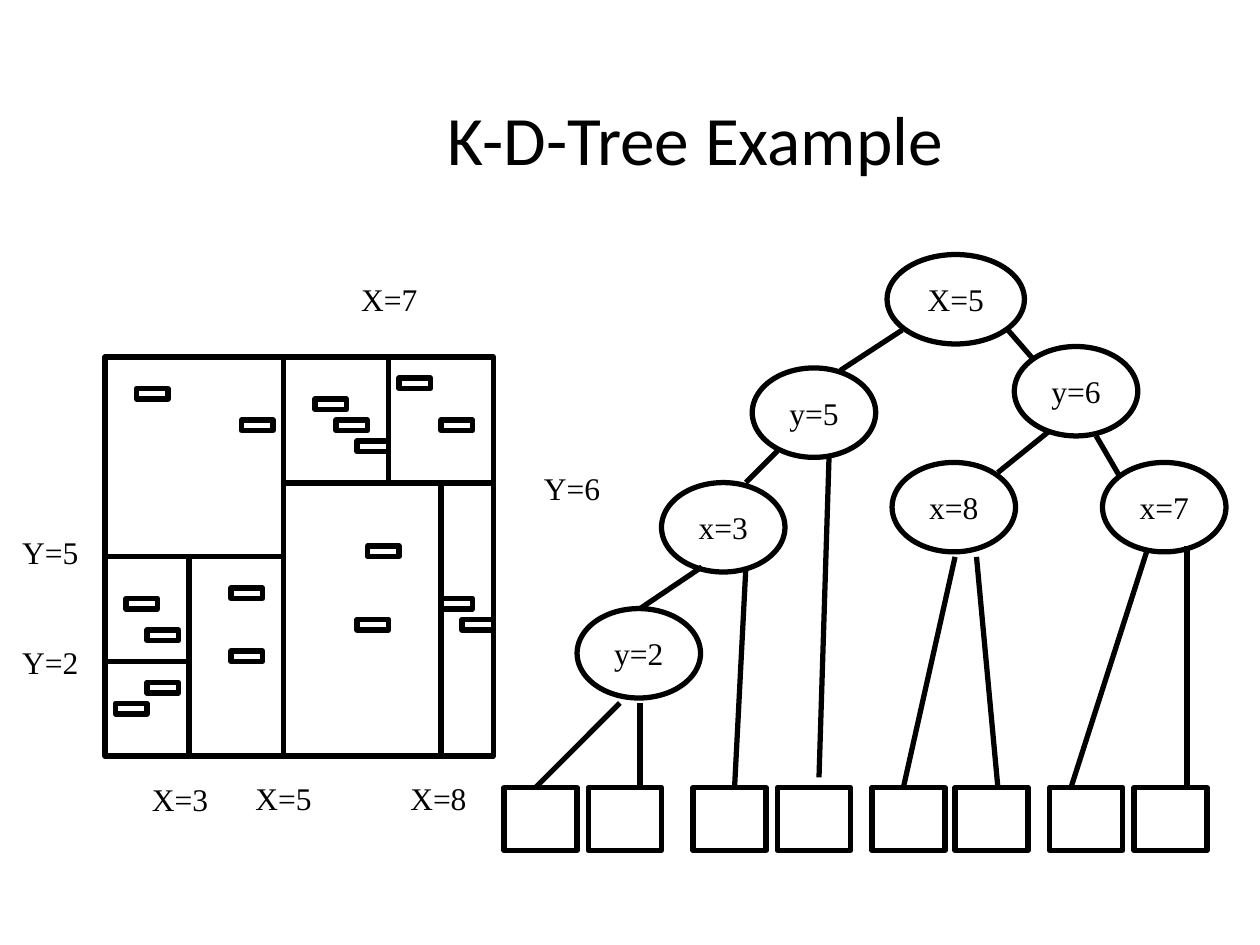
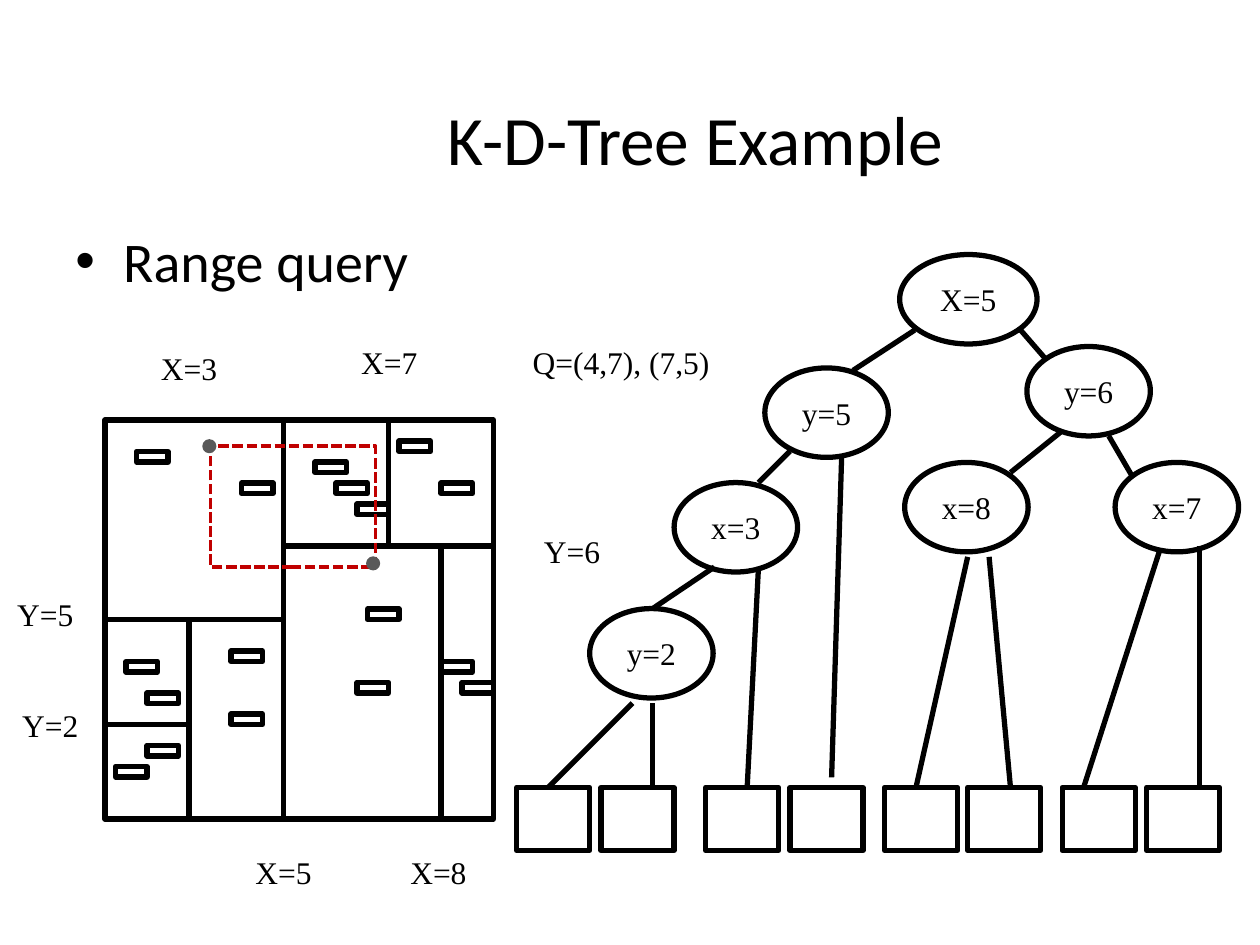
from dataclasses import dataclass

from lxml import etree
from pptx import Presentation
from pptx.dml.color import RGBColor as RGB
from pptx.enum.dml import MSO_LINE
from pptx.enum.shapes import MSO_CONNECTOR, MSO_SHAPE as SHAPE
from pptx.enum.text import MSO_ANCHOR as ANCHOR, PP_ALIGN as ALIGN
from pptx.oxml.ns import qn
from pptx.util import Inches, Pt


@dataclass(frozen=True)
class Theme:
    ink: RGB = RGB(0, 0, 0)
    query: RGB = RGB(0xC0, 0, 0)
    corner: RGB = RGB(0x59, 0x59, 0x59)
    heading_font: str = "Calibri"
    label_font: str = "Times New Roman"
    title_size: float = 39.6
    body_size: float = 32
    label_size: float = 18
    stroke: float = 3
    query_stroke: float = 2


THEME = Theme()

# The plane is measured in twelfths of an inch from its top left corner.
UNIT = 1 / 12
PLANE_LEFT, PLANE_W, PLANE_H = 10 * UNIT, 37, 38
SPLITS = [
    (17, 0, 17, 38), (0, 19, 17, 19), (8, 19, 8, 38), (17, 12, 37, 12),
    (27, 0, 27, 12), (32, 12, 32, 38), (0, 29, 8, 29),
]
RECORDS = [
    (12, 22), (1, 33), (4, 26), (2, 23), (3, 3), (4, 31), (13, 6), (12, 28),
    (25, 18), (24, 25), (20, 4), (22, 6), (24, 8), (32, 23), (34, 25),
    (28, 2), (32, 6),
]
# Centre of each label, in inches; y counts from the top of the plane.
PLANE_LABELS = [("X=7", 3.09, -0.46), ("Y=6", 4.54, 1.04), ("Y=2", 0.4, 2.42)]

NODE_W, NODE_H = 0.98, 0.71
NODES = [
    ("y=5", 5.97, 2.92), ("y=6", 8.05, 2.75), ("x=3", 5.25, 3.83),
    ("y=2", 4.58, 4.83), ("x=8", 7.08, 3.67), ("x=7", 8.75, 3.67),
]
LEAF_TOP, LEAF_W, LEAF_H = 6.25, 0.58, 0.5
LEAVES = [4, 4.67, 5.5, 6.17, 6.92, 7.58, 8.33, 9]
BRANCHES = [
    (7.16, 2.62, 6.67, 2.94), (8, 2.62, 8.2, 2.85), (8.33, 3.42, 7.92, 3.75),
    (8.7, 3.46, 8.88, 3.77), (6.17, 3.58, 5.92, 3.83), (5.57, 4.5, 5.08, 4.83),
    (4.92, 5.58, 4.25, LEAF_TOP), (5.08, 5.58, 5.08, LEAF_TOP),
    (5.92, 4.5, 5.83, LEAF_TOP), (6.58, 3.62, 6.5, 6.17),
    (7.58, 4.42, 7.17, LEAF_TOP), (7.75, 4.42, 7.92, LEAF_TOP),
    (9.1, 4.38, 8.5, LEAF_TOP), (9.42, 4.33, 9.42, LEAF_TOP),
]


def write(sp, text, size=THEME.label_size, font=THEME.label_font,
          align=ALIGN.CENTER, anchor=ANCHOR.MIDDLE, wrap=False):
    tf = sp.text_frame
    tf.word_wrap = wrap
    tf.vertical_anchor = anchor
    p = tf.paragraphs[0]
    p.alignment = align
    r = p.add_run()
    r.text = text
    r.font.size, r.font.name = Pt(size), font
    r.font.color.rgb = THEME.ink
    return p


def add_text(shapes, text, x, y, w, h, **fmt):
    return write(shapes.add_textbox(*map(Inches, (x, y, w, h))), text, **fmt)


def add_label(shapes, text, cx, cy, w=0.8, h=0.5, **fmt):
    """Put a label around its centre point."""
    add_text(shapes, text, cx - w / 2, cy - h / 2, w, h, **fmt)


def add_outline(shapes, kind, x, y, w, h, color=THEME.ink, width=THEME.stroke,
                filled=False, dash=None):
    sp = shapes.add_shape(kind, *map(Inches, (x, y, w, h)))
    sp.shadow.inherit = False
    if filled:
        sp.fill.solid()
        sp.fill.fore_color.rgb = color
    else:
        sp.fill.background()
    sp.line.color.rgb, sp.line.width = color, Pt(width)
    if dash:
        sp.line.dash_style = dash
    return sp


def add_line(shapes, x1, y1, x2, y2):
    line = shapes.add_connector(MSO_CONNECTOR.STRAIGHT,
                                *map(Inches, (x1, y1, x2, y2)))
    line.line.color.rgb, line.line.width = THEME.ink, Pt(THEME.stroke)
    etree.SubElement(line._element.spPr, qn("a:effectLst"))


def add_bullet(shapes, text):
    p = add_text(shapes, text, 0.5, 1.75, 9, 4.95, size=THEME.body_size,
                 font=THEME.heading_font, align=ALIGN.LEFT,
                 anchor=ANCHOR.TOP, wrap=True)
    pPr = p._p.get_or_add_pPr()
    pPr.set("marL", str(Inches(0.38)))
    pPr.set("indent", str(-Inches(0.38)))
    etree.SubElement(pPr, qn("a:buFont"), typeface="Arial")
    etree.SubElement(pPr, qn("a:buChar"), char="•")


def add_plane(shapes, top, labels):
    """Draw the partitioned plane with its records and split labels."""
    def at(x, y):
        return PLANE_LEFT + x * UNIT, top + y * UNIT

    add_outline(shapes, SHAPE.RECTANGLE, *at(0, 0),
                PLANE_W * UNIT, PLANE_H * UNIT)
    for x1, y1, x2, y2 in SPLITS:
        add_line(shapes, *at(x1, y1), *at(x2, y2))
    for record in RECORDS:
        add_outline(shapes, SHAPE.RECTANGLE, *at(*record), 3 * UNIT, UNIT)
    for text, cx, dy in PLANE_LABELS + labels:
        add_label(shapes, text, cx, top + dy)


def add_tree(slide, dx=0):
    shapes = slide.shapes.add_group_shape().shapes
    root = add_outline(shapes, SHAPE.OVAL, 7.04 + dx, 2.02, 1.09, NODE_H)
    write(root, "X=5")
    for text, x, y in NODES:
        write(add_outline(shapes, SHAPE.OVAL, x + dx, y, NODE_W, NODE_H), text)
    for x1, y1, x2, y2 in BRANCHES:
        add_line(shapes, x1 + dx, y1, x2 + dx, y2)
    for x in LEAVES:
        add_outline(shapes, SHAPE.RECTANGLE, x + dx, LEAF_TOP, LEAF_W, LEAF_H)


def add_query(shapes):
    """Draw the query window and mark its two defining corners."""
    add_outline(shapes, SHAPE.RECTANGLE, 1.67, 3.54, 1.31, 0.96,
                color=THEME.query, width=THEME.query_stroke,
                dash=MSO_LINE.SQUARE_DOT)
    for x, y in [(1.62, 3.5), (2.92, 4.43)]:
        add_outline(shapes, SHAPE.OVAL, x, y, UNIT, UNIT, filled=True,
                    color=THEME.corner, width=THEME.query_stroke)
    add_label(shapes, "Q=(4,7), (7,5)", 4.93, 2.87, w=1.86, h=0.4, wrap=True)


def new_slide(prs):
    slide = prs.slides.add_slide(prs.slide_layouts[6])
    add_text(slide.shapes, "K-D-Tree Example", 1.26, 0.68, 8.52, 0.82,
             size=THEME.title_size, font=THEME.heading_font, wrap=True)
    return slide


def main():
    prs = Presentation()
    prs.slide_width, prs.slide_height = Inches(10), Inches(7.5)

    example = new_slide(prs)
    add_tree(example)
    add_plane(example.shapes, 34 * UNIT,
              [("X=5", 2.25, 3.5), ("X=8", 3.48, 3.5),
               ("Y=5", 0.4, 1.55), ("X=3", 1.43, 3.51)])

    range_query = new_slide(prs)
    add_plane(range_query.shapes, 40 * UNIT,
              [("X=5", 2.25, 3.59), ("X=8", 3.48, 3.59),
               ("Y=5", 0.36, 1.54), ("X=3", 1.5, -0.41)])
    add_bullet(range_query.shapes, "Range query")
    add_query(range_query.shapes)
    add_tree(range_query, dx=0.1)

    prs.save("out.pptx")


if __name__ == "__main__":
    main()
